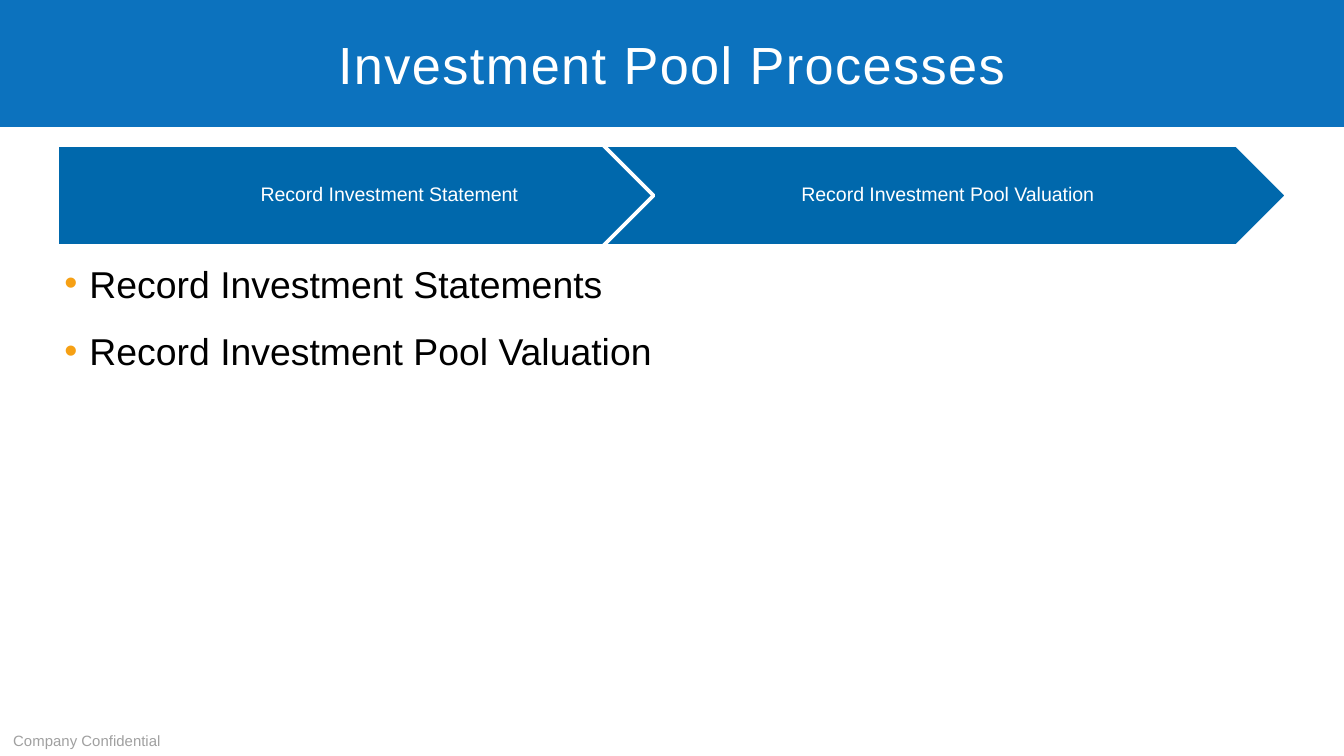
import pptx
import pptx.dml.color
import pptx.enum.shapes
import pptx.enum.text
import pptx.oxml.ns
import pptx.util
from lxml import etree

RGB = pptx.dml.color.RGBColor
SHAPES = pptx.enum.shapes.MSO_SHAPE
ALIGN = pptx.enum.text.PP_ALIGN
ANCHOR = pptx.enum.text.MSO_ANCHOR

WHITE = RGB(0xFF, 0xFF, 0xFF)
BLACK = RGB(0x00, 0x00, 0x00)
GRAY = RGB(0xA0, 0xA0, 0xA0)
BANNER_BLUE = RGB(0x0C, 0x72, 0xBE)
STEP_BLUE = RGB(0x00, 0x68, 0xAC)
ORANGE = RGB(0xF6, 0xA0, 0x14)

SLIDE_W, SLIDE_H = 1344, 756
EMU_PER_PX = 9144000 / SLIDE_W
STEP_TOP, STEP_W, STEP_H = 145, 684, 101


def px(length):
    return pptx.util.Emu(round(length * EMU_PER_PX))


def write(paragraph, text, *, size, color, font="Arial", align=ALIGN.LEFT,
          line_spacing=1.0, space=0, tracking=None):
    """Add one run; size and space are points, tracking is 1/100 point."""
    paragraph.alignment = align
    paragraph.line_spacing = line_spacing
    paragraph.space_before = paragraph.space_after = pptx.util.Pt(space)
    run = paragraph.add_run()
    run.text = text
    run.font.name = font
    run.font.size = pptx.util.Pt(size)
    run.font.color.rgb = color
    if tracking is not None:
        run.font._element.set("spc", str(tracking))


def add_bullet(paragraph, color, indent):
    qn = pptx.oxml.ns.qn
    properties = paragraph._p.get_or_add_pPr()
    properties.set("marL", str(indent))
    properties.set("indent", str(-indent))
    bullet_color = etree.SubElement(properties, qn("a:buClr"))
    etree.SubElement(bullet_color, qn("a:srgbClr"), val=str(color))
    etree.SubElement(properties, qn("a:buFont"), typeface="Arial")
    etree.SubElement(properties, qn("a:buChar"), char="•")


class ProcessSlide:
    """Holds the slide and the shared look of its elements."""

    def __init__(self, presentation):
        self.slide = presentation.slides.add_slide(presentation.slide_layouts[1])

    def place(self, shape, box):
        shape.left, shape.top, shape.width, shape.height = map(px, box)
        frame = shape.text_frame
        frame.word_wrap = True
        frame.auto_size = pptx.enum.text.MSO_AUTO_SIZE.NONE
        return frame

    def title(self, text, box):
        banner = self.slide.shapes.title
        banner.fill.solid()
        banner.fill.fore_color.rgb = BANNER_BLUE
        frame = self.place(banner, box)
        frame.vertical_anchor = ANCHOR.MIDDLE
        write(frame.paragraphs[0], text, size=28, color=WHITE,
              align=ALIGN.CENTER, tracking=80)

    def bullets(self, items, box):
        frame = self.place(self.slide.placeholders[1], box)
        frame.vertical_anchor = ANCHOR.TOP
        for index, item in enumerate(items):
            paragraph = frame.add_paragraph() if index else frame.paragraphs[0]
            write(paragraph, item, size=20, color=BLACK, space=6)
            add_bullet(paragraph, ORANGE, px(25))

    def text(self, text, box, anchor, margins=None, **style):
        frame = self.place(self.slide.shapes.add_textbox(0, 0, 0, 0), box)
        frame.vertical_anchor = anchor
        if margins:
            (frame.margin_left, frame.margin_top,
             frame.margin_right, frame.margin_bottom) = map(px, margins)
        write(frame.paragraphs[0], text, **style)

    def step(self, outline, left, label, label_left, label_width):
        arrow = self.slide.shapes.add_shape(
            outline, *map(px, (left, STEP_TOP, STEP_W, STEP_H)))
        arrow.shadow.inherit = False
        arrow.fill.solid()
        arrow.fill.fore_color.rgb = STEP_BLUE
        arrow.line.color.rgb = WHITE
        arrow.line.width = pptx.util.Pt(2)
        self.text(label, (label_left, STEP_TOP, label_width, STEP_H),
                  ANCHOR.MIDDLE, margins=(8, 4, 3, 4), size=10.5, color=WHITE,
                  align=ALIGN.CENTER, line_spacing=0.9)


def main():
    presentation = pptx.Presentation()
    presentation.slide_width = px(SLIDE_W)
    presentation.slide_height = px(SLIDE_H)

    page = ProcessSlide(presentation)
    page.title("Investment Pool Processes", (0, 0, SLIDE_W, 127))
    page.bullets(["Record Investment Statements",
                  "Record Investment Pool Valuation"], (51, 254, 1175, 444))
    page.text("Company Confidential", (0, 715, 454, 41), ANCHOR.BOTTOM,
              size=8, color=GRAY)
    page.step(SHAPES.PENTAGON, 57, "Record Investment Statement", 57, 660)
    page.step(SHAPES.CHEVRON, 603, "Record Investment Pool Valuation", 653, 585)

    presentation.save("out.pptx")


if __name__ == "__main__":
    main()
